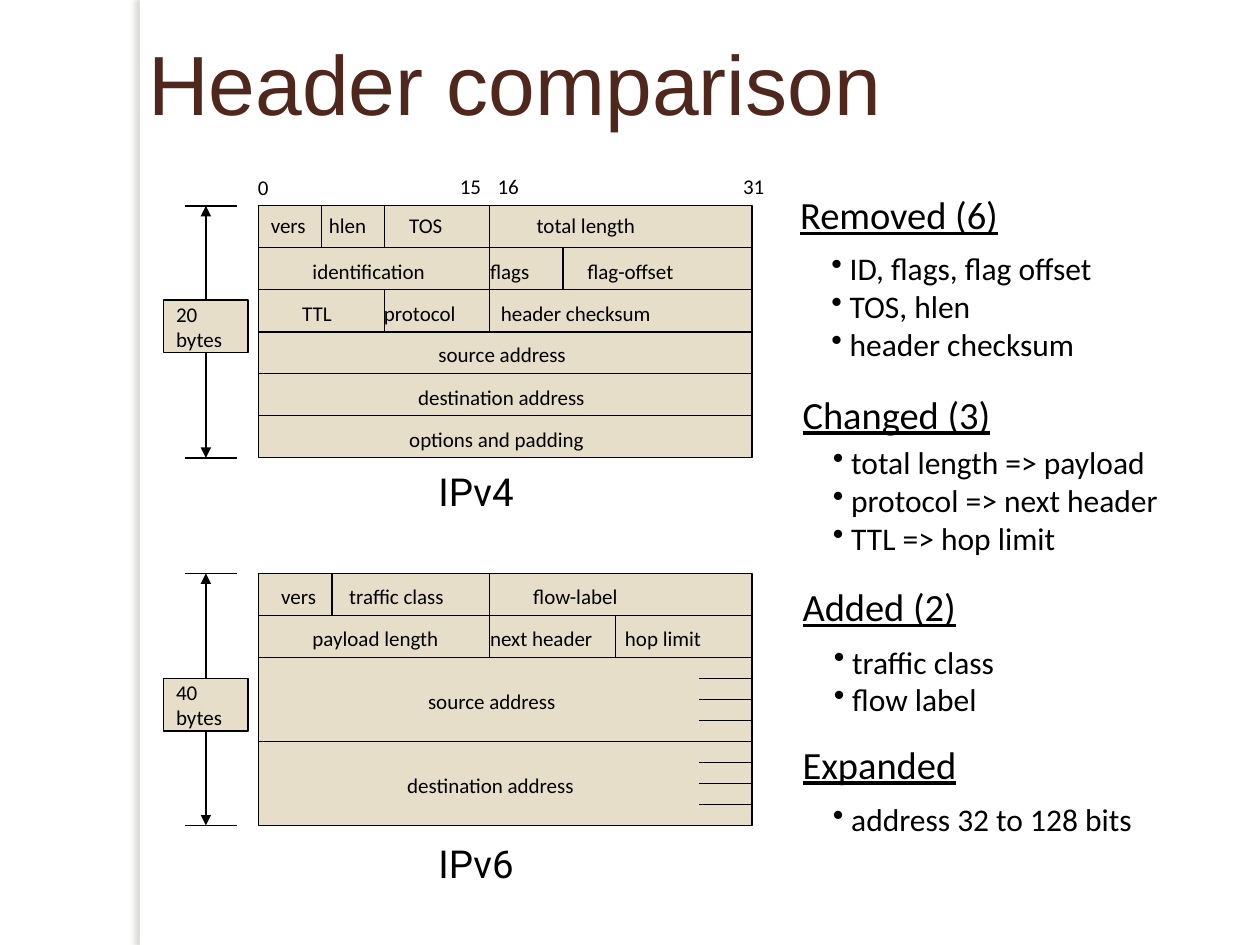
from dataclasses import dataclass

from lxml.etree import SubElement
from pptx import Presentation
from pptx.dml.color import RGBColor
from pptx.enum.shapes import MSO_CONNECTOR, MSO_SHAPE
from pptx.enum.text import MSO_ANCHOR, MSO_AUTO_SIZE
from pptx.oxml.ns import qn
from pptx.shapes.autoshape import Shape
from pptx.shapes.connector import Connector
from pptx.util import Cm, Pt

COLORS = {"paper": "FFFFFF", "sand": "E7DEC9", "ink": "000000",
          "title": "4F271C", "shadow": "736F63"}

# Shared geometry in centimetres
LEFT, WIDTH, HEIGHT = 5.21, 9.95, 5.08
ROW = HEIGHT / 6
RIGHT = LEFT + WIDTH
STUB_LEFT = 14.09
ARROW_X = 4.15
BULLET_INDENT = 0.37


@dataclass
class Label:
    """A line of text; tabs are measured from the start of the text."""
    left: float
    top: float
    width: float
    text: str
    tabs: tuple[float, ...] = ()
    size: int = 12
    height: float = 0.76
    font: str = "Calibri"


@dataclass
class Header:
    """One protocol header; line positions are counted in rows."""
    top: float
    rules: tuple[int, ...]
    stubs: tuple[float, ...]
    dividers: tuple[tuple[float, int, int], ...]  # x offset, first row, last row
    size_text: str
    size_offset: float


@dataclass
class Group:
    """An underlined heading with its bullet list."""
    left: float
    top: float
    width: float
    heading: str
    list_left: float
    list_top: float
    list_width: float
    list_height: float
    items: tuple[str, ...]


HEADERS = [
    Header(4.15, (1, 2, 3, 4, 5), (),
           ((1.27, 0, 1), (2.54, 0, 1), (4.66, 0, 3), (6.14, 1, 2), (2.54, 2, 3)),
           "20", 1.9),
    Header(11.56, (1, 2, 4), (2.5, 3, 3.5, 4.5, 5, 5.5),
           ((4.66, 0, 2), (7.2, 1, 2), (1.48, 0, 1)),
           "40", 2.12),
]

LABELS = [
    # Bit numbers
    Label(4.95, 3.4, 0.71, "0"),
    Label(9.02, 3.38, 0.94, "15"),
    Label(9.78, 3.38, 0.94, "16"),
    Label(14.73, 3.38, 0.94, "31"),
    # IPv4 fields
    Label(5.21, 4.15, 8.53, "vers\thlen\tTOS\ttotal length", (1.17, 2.79, 5.36)),
    Label(6.05, 5.08, 8.33, "identification\tflags\tflag-offset", (3.58, 5.54)),
    Label(5.84, 5.93, 8.23, "TTL\tprotocol\theader checksum", (1.65, 4.01)),
    Label(8.59, 6.77, 3.18, "source address"),
    Label(8.18, 7.62, 3.99, "destination address"),
    Label(8.0, 8.47, 4.19, "options and padding"),
    # IPv6 fields
    Label(5.42, 11.64, 7.9, "vers\ttraffic class\tflow-label", (1.37, 5.08)),
    Label(6.05, 12.49, 8.84, "payload length\tnext header\thop limit", (3.58, 6.3)),
    Label(8.38, 13.76, 3.18, "source address"),
    Label(7.96, 15.45, 3.99, "destination address"),
    # Header names
    Label(8.59, 9.32, 2.34, "IPv4", size=22, height=1.19, font="Roboto"),
    Label(8.59, 16.8, 2.34, "IPv6", size=22, height=1.19, font="Roboto"),
]

GROUPS = [
    Group(15.88, 3.73, 4.72, "Removed (6)", 16.51, 4.9, 6.17, 2.54,
          ("ID, flags, flag offset", "TOS, hlen", "header checksum")),
    Group(15.93, 7.75, 4.6, "Changed (3)", 16.54, 8.81, 7.39, 2.54,
          ("total length => payload", "protocol => next header", "TTL => hop limit")),
    Group(15.93, 11.63, 3.81, "Added (2)", 16.56, 12.83, 4.01, 1.78,
          ("traffic class", "flow label")),
    Group(15.93, 14.81, 3.89, "Expanded", 16.54, 16.0, 6.71, 1.02,
          ("address 32 to 128 bits",)),
]


def color(name: str) -> RGBColor:
    return RGBColor.from_string(COLORS[name])


def add_span(paragraph, text: str, size: int, font: str = "Calibri",
             ink: str = "ink", underline: bool = False) -> None:
    span = paragraph.add_run()
    span.text = text
    span.font.size, span.font.name = Pt(size), font
    span.font.color.rgb = color(ink)
    if underline:
        span.font.underline = True


def add_box(page, left: float, top: float, width: float, height: float,
            wrap: bool = False) -> Shape:
    box = page.shapes.add_textbox(Cm(left), Cm(top), Cm(width), Cm(height))
    box.text_frame.word_wrap = wrap
    box.text_frame.auto_size = MSO_AUTO_SIZE.SHAPE_TO_FIT_TEXT
    return box


def add_rectangle(page, left: float, top: float, width: float, height: float,
                  fill: str = "sand") -> Shape:
    box = page.shapes.add_shape(MSO_SHAPE.RECTANGLE, Cm(left), Cm(top), Cm(width), Cm(height))
    box.shadow.inherit = False
    box.fill.solid()
    box.fill.fore_color.rgb = color(fill)
    box.line.color.rgb = color("ink")
    box.line.width = Pt(0.75)
    return box


def add_line(page, x1: float, y1: float, x2: float, y2: float,
             weight: float = 0.75) -> Connector:
    line = page.shapes.add_connector(MSO_CONNECTOR.STRAIGHT, Cm(x1), Cm(y1), Cm(x2), Cm(y2))
    line.line.color.rgb = color("ink")
    line.line.width = Pt(weight)
    SubElement(line._element.spPr, qn("a:effectLst"))
    return line


def add_label(page, label: Label) -> None:
    box = add_box(page, label.left, label.top, label.width, label.height, bool(label.tabs))
    paragraph = box.text_frame.paragraphs[0]
    if label.tabs:
        stops = SubElement(paragraph._p.get_or_add_pPr(), qn("a:tabLst"))
        for position in label.tabs:
            SubElement(stops, qn("a:tab"), pos=str(Cm(position)), algn="l")
    add_span(paragraph, label.text, label.size, label.font)


def add_header(page, header: Header) -> None:
    top, bottom = header.top, header.top + HEIGHT
    add_rectangle(page, LEFT, top, WIDTH, HEIGHT)
    for start, rows in ((LEFT, header.rules), (STUB_LEFT, header.stubs)):
        for row in rows:
            add_line(page, start, top + row * ROW, RIGHT, top + row * ROW)
    for offset, first, last in header.dividers:
        add_line(page, LEFT + offset, top + first * ROW, LEFT + offset, top + last * ROW)

    # Size marker: end bars, byte count and arrows
    box = add_rectangle(page, ARROW_X - 0.85, top + header.size_offset, 1.7, 1.06)
    frame = box.text_frame
    frame.word_wrap = False
    frame.vertical_anchor = MSO_ANCHOR.MIDDLE
    for index, text in enumerate((header.size_text, "bytes")):
        paragraph = frame.add_paragraph() if index else frame.paragraphs[0]
        paragraph.alignment = 1  # left
        add_span(paragraph, text, 12)
    for end, side in ((top, 0), (bottom, 2)):
        add_line(page, 3.73, end, 4.78, end)
        arrow = add_line(page, ARROW_X, top + header.size_offset, ARROW_X, end, 1)
        arrow.begin_connect(box, side)
        SubElement(arrow.line._get_or_add_ln(), qn("a:tailEnd"), type="triangle")


def add_group(page, group: Group) -> None:
    heading = add_box(page, group.left, group.top, group.width, 1.19)
    add_span(heading.text_frame.paragraphs[0], group.heading, 22, underline=True)
    box = add_box(page, group.list_left, group.list_top, group.list_width, group.list_height)
    for index, item in enumerate(group.items):
        paragraph = box.text_frame.add_paragraph() if index else box.text_frame.paragraphs[0]
        properties = paragraph._p.get_or_add_pPr()
        properties.set("marL", str(Cm(BULLET_INDENT)))
        properties.set("indent", str(-Cm(BULLET_INDENT)))
        SubElement(properties, qn("a:buChar"), char="•")
        add_span(paragraph, item, 18)


def add_side_band(page) -> None:
    band = add_rectangle(page, 2.82, 0, 0.2, 19.05, "paper")
    band.line.fill.background()
    effects = band._element.spPr.find(qn("a:effectLst"))
    shadow = SubElement(effects, qn("a:outerShdw"), blurRad=str(Pt(3)), dist=str(Pt(3)),
                        dir="10800000", algn="tl", rotWithShape="0")
    tint = SubElement(shadow, qn("a:srgbClr"), val=COLORS["shadow"])
    SubElement(tint, qn("a:alpha"), val="25000")


def add_title(page) -> None:
    box = add_box(page, 2.74, 0.84, 20.32, 1.9, wrap=True)
    box.text_frame.auto_size = MSO_AUTO_SIZE.NONE
    box.text_frame.vertical_anchor = MSO_ANCHOR.MIDDLE
    paragraph = box.text_frame.paragraphs[0]
    paragraph.line_spacing = 0.9
    add_span(paragraph, "Header comparison", 48, "Arial", "title")


def main() -> None:
    deck = Presentation()
    deck.slide_width, deck.slide_height = Cm(25.4), Cm(19.05)
    page = deck.slides.add_slide(deck.slide_layouts[6])
    add_side_band(page)
    for header in HEADERS:
        add_header(page, header)
    for label in LABELS:
        add_label(page, label)
    for group in GROUPS:
        add_group(page, group)
    add_title(page)
    deck.save("out.pptx")


if __name__ == "__main__":
    main()
